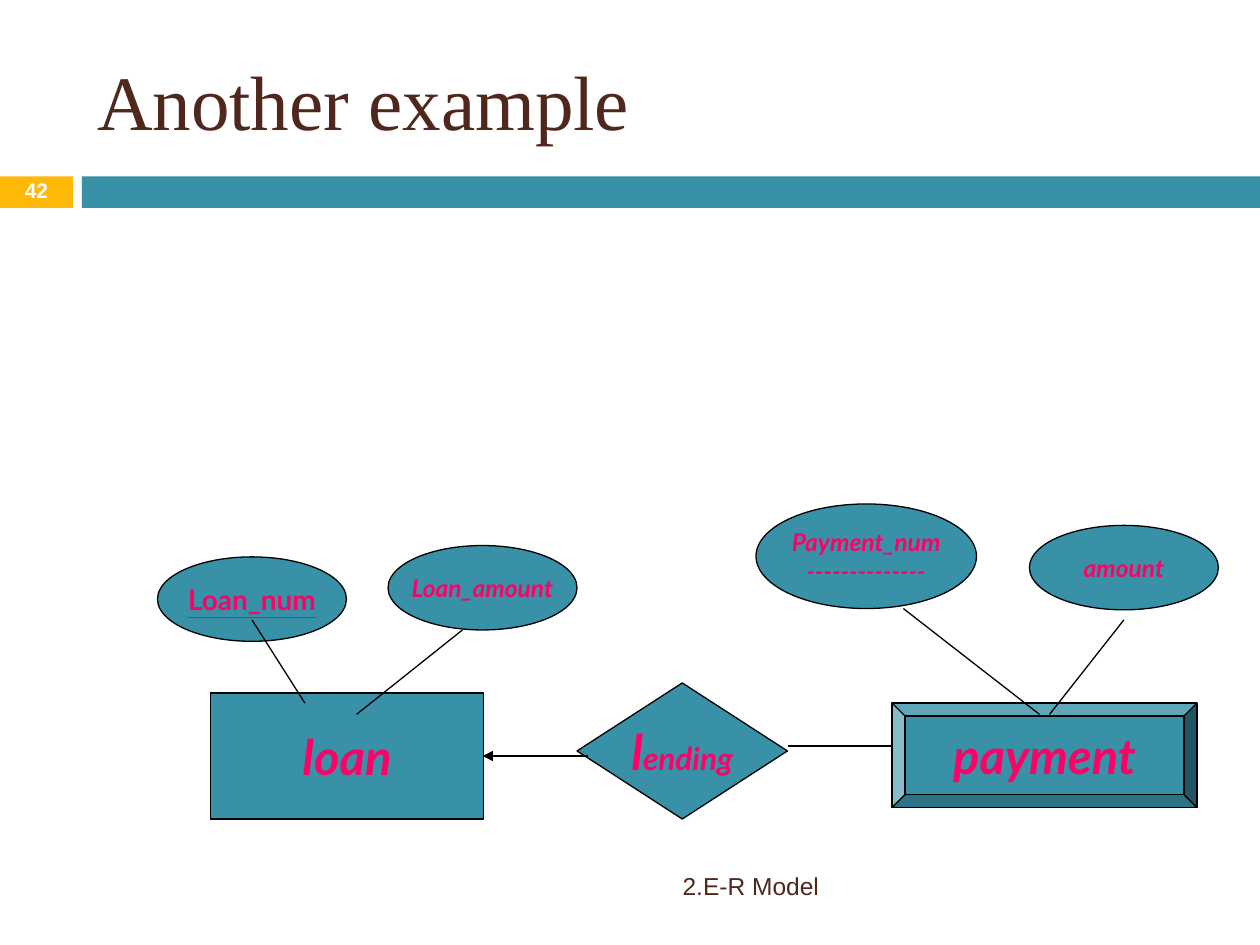
from dataclasses import dataclass

from lxml import etree
from pptx import Presentation
from pptx.dml.color import RGBColor
from pptx.enum.shapes import MSO_CONNECTOR, MSO_SHAPE
from pptx.enum.text import MSO_ANCHOR, MSO_AUTO_SIZE, PP_ALIGN
from pptx.oxml.ns import qn
from pptx.util import Inches, Pt

RECTANGLE, BEVEL = MSO_SHAPE.RECTANGLE, MSO_SHAPE.BEVEL
DIAMOND, OVAL = MSO_SHAPE.DIAMOND, MSO_SHAPE.OVAL
STRAIGHT = MSO_CONNECTOR.STRAIGHT
MIDDLE = MSO_ANCHOR.MIDDLE
NO_AUTOFIT = MSO_AUTO_SIZE.NONE
LEFT, CENTER, RIGHT = PP_ALIGN.LEFT, PP_ALIGN.CENTER, PP_ALIGN.RIGHT


@dataclass(frozen=True)
class Theme:
    teal: str = "3891A7"
    gold: str = "FEB80A"
    brown: str = "4F271C"
    pink: str = "FF0066"
    white: str = "FFFFFF"
    black: str = "000000"
    title_font: str = "Times New Roman"
    diagram_font: str = "Lato"
    footer_font: str = "Arial"
    title_size: int = 44
    entity_size: int = 28
    relation_size: int = 18
    key_size: int = 16
    attribute_size: int = 14
    number_size: int = 12
    line_width: float = 0.75


class DiagramSlide:
    """Draws the elements of an entity-relationship slide in one theme."""

    def __init__(self, slide, theme):
        self.slide = slide
        self.theme = theme

    def set_text(self, shape, paragraphs, alignment, **frame_values):
        frame = shape.text_frame
        frame_format = {"vertical_anchor": MIDDLE, "auto_size": NO_AUTOFIT, "word_wrap": True}
        for name, value in (frame_format | frame_values).items():
            setattr(frame, name, value)
        for index, runs in enumerate(paragraphs):
            paragraph = frame.add_paragraph() if index else frame.paragraphs[0]
            paragraph.alignment = alignment
            for text, font_format in runs:
                run = paragraph.add_run()
                run.text = text
                values = dict(font_format)
                run.font.color.rgb = RGBColor.from_string(values.pop("color"))
                for name, value in values.items():
                    setattr(run.font, name, value)
        return frame

    def title(self, text, box):
        shape = self.slide.shapes.title
        shape.left, shape.top, shape.width, shape.height = map(Inches, box)
        theme = self.theme
        style = {"name": theme.title_font, "size": Pt(theme.title_size), "color": theme.brown}
        self.set_text(shape, [[(text, style)]], LEFT)

    def bar(self, box, color):
        shape = self.slide.shapes.add_shape(RECTANGLE, *map(Inches, box))
        shape.shadow.inherit = False
        shape.fill.solid()
        shape.fill.fore_color.rgb = RGBColor.from_string(color)
        shape.line.fill.background()

    def label(self, text, box, alignment, line_spacing=None, **font_format):
        shape = self.slide.shapes.add_textbox(*map(Inches, box))
        style = {"name": self.theme.footer_font} | font_format
        frame = self.set_text(shape, [[(text, style)]], alignment)
        frame.paragraphs[0].line_spacing = line_spacing

    def node(self, kind, box, *paragraphs):
        theme = self.theme
        shape = self.slide.shapes.add_shape(kind, *map(Inches, box))
        shape.shadow.inherit = False
        shape.fill.solid()
        shape.fill.fore_color.rgb = RGBColor.from_string(theme.teal)
        shape.line.color.rgb = RGBColor.from_string(theme.black)
        shape.line.width = Pt(theme.line_width)
        base = {"name": theme.diagram_font, "color": theme.pink, "bold": True, "italic": True}
        styled = [
            [(text, base | {"size": Pt(size)} | extra) for text, size, extra in runs]
            for runs in paragraphs
        ]
        self.set_text(shape, styled, CENTER, word_wrap=False)

    def link(self, start, end, arrow=False):
        connector = self.slide.shapes.add_connector(STRAIGHT, *map(Inches, start + end))
        connector.line.color.rgb = RGBColor.from_string(self.theme.black)
        connector.line.width = Pt(self.theme.line_width)
        properties = connector.element.spPr
        if arrow:
            etree.SubElement(properties.find(qn("a:ln")), qn("a:tailEnd"), type="triangle")
        etree.SubElement(properties, qn("a:effectLst"))


def main():
    presentation = Presentation()
    presentation.slide_width, presentation.slide_height = Inches(10), Inches(7.5)
    theme = Theme()
    slide = presentation.slides.add_slide(presentation.slide_layouts[5])
    diagram = DiagramSlide(slide, theme)

    diagram.bar((0, 1.4, 0.58, 0.25), theme.gold)
    diagram.bar((0.65, 1.4, 9.35, 0.25), theme.teal)
    diagram.title("Another example", (0.67, 0.25, 8.92, 1.08))

    entity, attribute = theme.entity_size, theme.attribute_size
    diagram.node(RECTANGLE, (1.67, 5.5, 2.17, 1), [("loan", entity, {})])
    diagram.node(BEVEL, (7.08, 5.58, 2.42, 0.83), [("payment", entity, {})])
    diagram.node(
        DIAMOND,
        (4.58, 5.42, 1.67, 1.08),
        [("l", entity, {}), ("ending", theme.relation_size, {})],
    )
    diagram.link((4.67, 6), (3.83, 6), arrow=True)
    diagram.link((6.25, 5.92), (7.08, 5.92))

    key_format = {"italic": False, "underline": True}
    diagram.node(OVAL, (1.25, 4.42, 1.5, 0.67), [("Loan_num", theme.key_size, key_format)])
    diagram.node(OVAL, (3.08, 4.33, 1.5, 0.67), [("Loan_amount", attribute, {})])
    diagram.node(
        OVAL,
        (6, 4, 1.75, 0.83),
        [("Payment_num", attribute, {})],
        [("-" * 14, attribute, {})],
    )
    diagram.node(OVAL, (8.17, 4.17, 1.5, 0.67), [("amount", attribute, {})])

    attribute_links = [
        ((7.17, 4.83), (8.25, 5.67)),
        ((8.92, 4.92), (8.33, 5.67)),
        ((2, 4.92), (2.42, 5.58)),
        ((3.67, 5), (2.83, 5.67)),
    ]
    for start, end in attribute_links:
        diagram.link(start, end)

    number_format = {"size": Pt(theme.number_size), "color": theme.white, "bold": True}
    diagram.label("42", (0, 1.39, 0.58, 0.27), CENTER, line_spacing=0.8, **number_format)
    footer_format = {"size": Pt(theme.attribute_size), "color": theme.brown}
    diagram.label("2.E-R Model", (0.67, 6.83, 5.93, 0.4), RIGHT, **footer_format)

    presentation.save("out.pptx")


if __name__ == "__main__":
    main()
